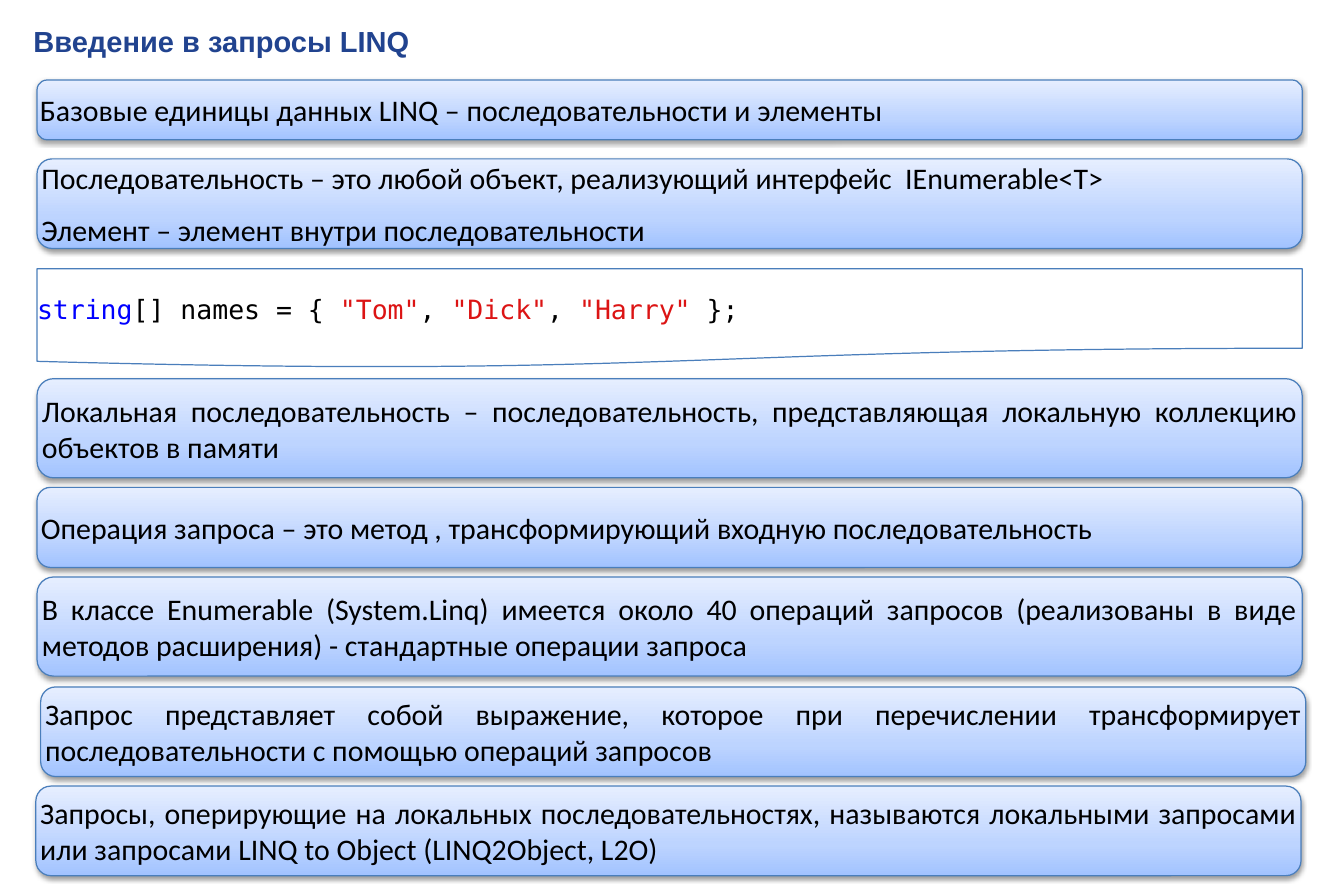
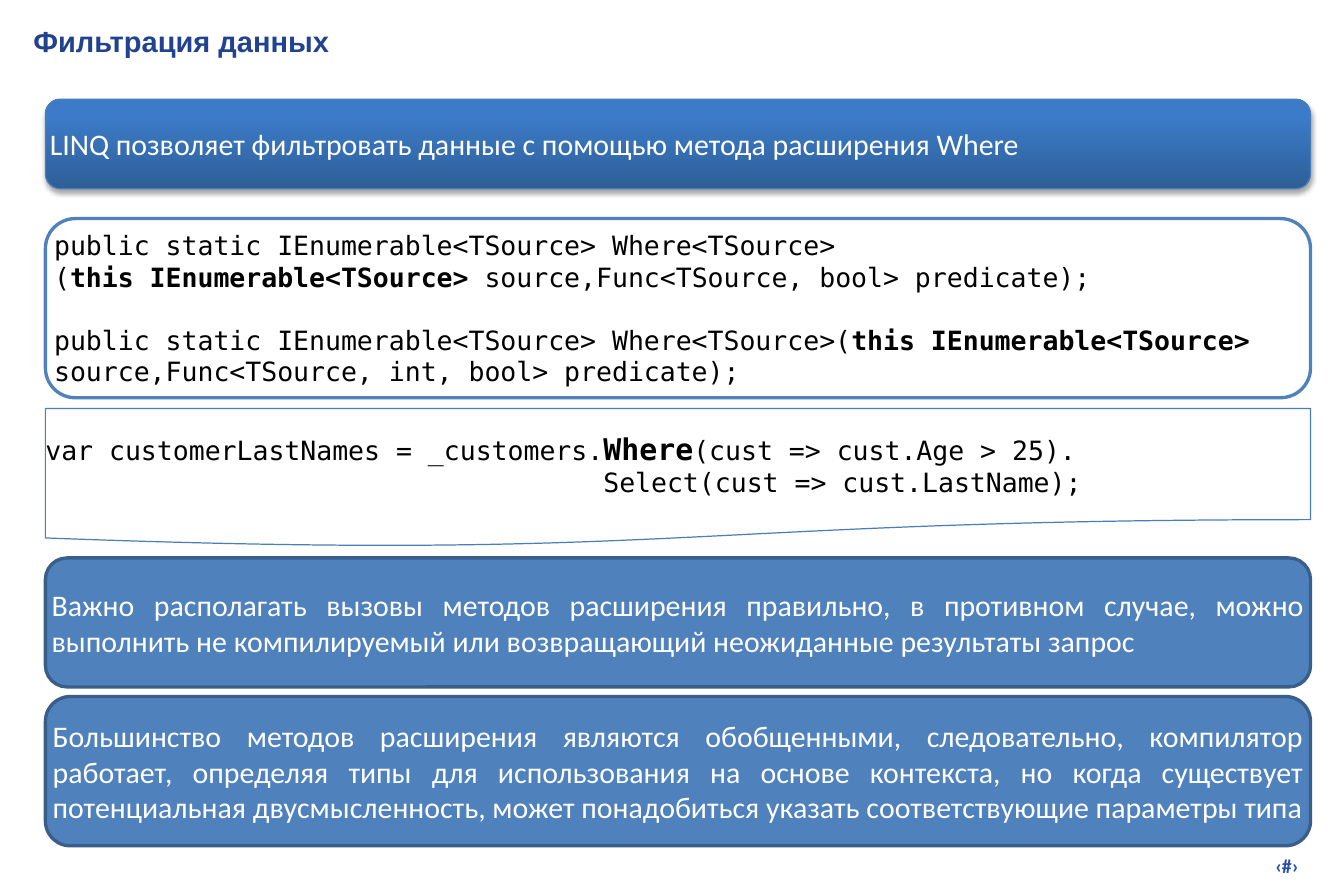
from lxml import etree
from pptx import Presentation
from pptx.dml.color import RGBColor
from pptx.enum.shapes import MSO_SHAPE as Preset
from pptx.enum.text import MSO_ANCHOR as Anchor, PP_ALIGN as Align
from pptx.oxml.ns import qn
from pptx.util import Inches, Pt

BODY_FONT, CODE_FONT, TITLE_FONT = "Calibri", "DejaVu Sans Mono", "Arial"
BLACK, WHITE = "000000", "FFFFFF"
TITLE_BLUE, NUMBER_BLUE = "21438F", "2750AB"
OUTLINE, ACCENT, ACCENT_DARK = "4A7EBB", "4F81BD", "3A5E8A"
KEYWORD, LITERAL = "0000FF", "DC1414"
PALE_GRADIENT = [(0, "A2C3FF"), (35, "BDD4FF"), (100, "E6EEFF")]
DEEP_GRADIENT = [(0, "2E5E97"), (80, "3C7BC7"), (100, "3A7CCA")]

BOX_WIDTH = 10.59
CORNER = 0.167
CODE_SIZE = 16
CODE_LINE = 18.6


def color(value):
    return RGBColor.from_string(value)


def add_child(parent, tag, **attributes):
    child = etree.SubElement(parent, qn(tag))
    for name, value in attributes.items():
        child.set(name, str(value))
    return child


def fill_gradient(shape, stops):
    """Fill from bottom to top with (percent, colour) stops."""
    shape.fill.gradient()
    shape.fill.gradient_angle = 90
    stop_list = shape._element.spPr.find(".//" + qn("a:gsLst"))
    for old_stop in list(stop_list):
        stop_list.remove(old_stop)
    for percent, value in stops:
        stop = add_child(stop_list, "a:gs", pos=percent * 1000)
        add_child(stop, "a:srgbClr", val=value)


def add_drop_shadow(shape, opacity, distance):
    effects = shape._element.spPr.find(qn("a:effectLst"))
    shadow = add_child(effects, "a:outerShdw", blurRad=Pt(3), dist=Pt(distance),
                       dir=90 * 60000, rotWithShape=0)
    shadow_color = add_child(shadow, "a:srgbClr", val=BLACK)
    add_child(shadow_color, "a:alpha", val=opacity * 1000)


def set_up_frame(shape, anchor, margin=0):
    frame = shape.text_frame
    frame.word_wrap = True
    frame.vertical_anchor = anchor
    frame.margin_left = frame.margin_right = Inches(margin)
    frame.margin_top = frame.margin_bottom = Inches(margin)
    return frame


def add_run(paragraph, text, font, size, value, bold=False):
    run = paragraph.add_run()
    run.text = text
    run.font.name = font
    run.font.size = Pt(size)
    run.font.bold = bold
    run.font.color.rgb = color(value)


def add_paragraphs(frame, count, align):
    for _ in range(count - 1):
        frame.add_paragraph()
    for paragraph in frame.paragraphs:
        paragraph.alignment = align
    return frame.paragraphs


def add_label(slide, at, text, font, size, value, align=Align.LEFT, margin=0):
    label = slide.shapes.add_textbox(*map(Inches, at))
    frame = set_up_frame(label, Anchor.TOP, margin)
    paragraph = add_paragraphs(frame, 1, align)[0]
    add_run(paragraph, text, font, size, value, bold=True)


def add_panel(slide, preset, left, top, height, line, line_width=0.75):
    panel = slide.shapes.add_shape(preset, Inches(left), Inches(top),
                                   Inches(BOX_WIDTH), Inches(height))
    panel.shadow.inherit = False
    panel.line.color.rgb = color(line)
    panel.line.width = Pt(line_width)
    if preset == Preset.ROUNDED_RECTANGLE:
        panel.adjustments[0] = CORNER
    return panel


def write_statements(panel, lines, value):
    frame = set_up_frame(panel, Anchor.MIDDLE)
    paragraphs = add_paragraphs(frame, len(lines), Align.JUSTIFY)
    for paragraph, line in zip(paragraphs, lines):
        add_run(paragraph, line, BODY_FONT, 18, value)
    for paragraph in paragraphs[1:]:
        paragraph.space_before = Pt(10)


def add_gradient_box(slide, left, top, height, lines, stops, value, opacity, distance):
    box = add_panel(slide, Preset.ROUNDED_RECTANGLE, left, top, height, OUTLINE)
    fill_gradient(box, stops)
    add_drop_shadow(box, opacity, distance)
    write_statements(box, lines, value)


def add_solid_box(slide, left, top, height, line):
    box = add_panel(slide, Preset.ROUNDED_RECTANGLE, left, top, height, ACCENT_DARK, 2)
    box.fill.solid()
    box.fill.fore_color.rgb = color(ACCENT)
    write_statements(box, [line], WHITE)


def add_code(slide, preset, left, top, height, lines, line=OUTLINE, line_width=0.75):
    """Each code line is a list of (text, overrides) runs; returns the paragraphs."""
    panel = add_panel(slide, preset, left, top, height, line, line_width)
    panel.fill.solid()
    panel.fill.fore_color.rgb = color(WHITE)
    frame = set_up_frame(panel, Anchor.MIDDLE)
    paragraphs = add_paragraphs(frame, len(lines), Align.LEFT)
    for paragraph, runs in zip(paragraphs, lines):
        for text, overrides in runs:
            style = {"size": CODE_SIZE, "value": BLACK, **overrides}
            add_run(paragraph, text, CODE_FONT, **style)
    return paragraphs


def add_titled_slide(presentation, title):
    slide = presentation.slides.add_slide(presentation.slide_layouts[6])
    add_label(slide, (0.28, 0.2, 10.74, 0.4), title, TITLE_FONT, 17.5, TITLE_BLUE)
    return slide


def build_introduction(presentation):
    slide = add_titled_slide(presentation, "Введение в запросы LINQ")
    left = 0.31
    statements = [
        (left, 0.67, 0.5, ["Базовые единицы данных LINQ – последовательности и элементы"]),
        (left, 1.33, 0.75, [
            "Последовательность – это любой объект, реализующий интерфейс  IEnumerable<T>",
            "Элемент – элемент внутри последовательности"]),
        (left, 3.17, 0.83, ["Локальная последовательность – последовательность, "
                            "представляющая локальную коллекцию объектов в памяти"]),
        (left, 4.08, 0.67, ["Операция запроса – это метод , "
                            "трансформирующий входную последовательность"]),
        (left, 4.83, 0.83, ["В классе Enumerable (System.Linq) имеется около 40 операций "
                            "запросов (реализованы в виде методов расширения) - "
                            "стандартные операции запроса"]),
        (0.34, 5.75, 0.75, ["Запрос представляет собой выражение, которое при перечислении "
                            "трансформирует последовательности с помощью операций запросов"]),
        (0.3, 6.58, 0.75, ["Запросы, оперирующие на локальных последовательностях, "
                           "называются локальными запросами или запросами "
                           "LINQ to Object (LINQ2Object, L2O)"]),
    ]
    for box_left, top, height, lines in statements:
        add_gradient_box(slide, box_left, top, height, lines, PALE_GRADIENT, BLACK, 38, 1.6)

    literal = {"value": LITERAL}
    add_code(slide, Preset.FLOWCHART_DOCUMENT, left, 2.25, 0.83, [[
        ("string", {"value": KEYWORD}), ("[] names = { ", {}),
        ('"Tom"', literal), (", ", {}), ('"Dick"', literal), (", ", {}),
        ('"Harry"', literal), (" };", {})]])


def build_filtering(presentation):
    slide = add_titled_slide(presentation, "Фильтрация данных")
    left = 0.38
    add_gradient_box(slide, left, 0.83, 0.75,
                     ["LINQ позволяет фильтровать данные с помощью метода расширения Where"],
                     DEEP_GRADIENT, WHITE, 35, 1.8)

    source = ("this IEnumerable<TSource>", {"bold": True})
    signatures = add_code(slide, Preset.ROUNDED_RECTANGLE, left, 1.83, 1.5, [
        [("public static IEnumerable<TSource> Where<TSource>", {})],
        [("(", {}), source, (" source,Func<TSource, bool> predicate);", {})],
        [("public static IEnumerable<TSource> Where<TSource>(", {}), source,
         (" source,Func<TSource, int, bool> predicate);", {})],
    ], ACCENT, 2)
    signatures[2].space_before = Pt(CODE_LINE)

    add_code(slide, Preset.FLOWCHART_DOCUMENT, left, 3.42, 1.16, [
        [("var customerLastNames = _customers.", {}),
         ("Where", {"size": 18, "bold": True}),
         ("(cust => cust.Age > 25).", {})],
        [("                                   Select(cust => cust.LastName);", {})],
    ])

    add_solid_box(slide, left, 4.67, 1.08,
                  "Важно располагать вызовы методов расширения правильно, в противном "
                  "случае, можно выполнить не компилируемый или возвращающий "
                  "неожиданные результаты запрос")
    add_solid_box(slide, left, 5.83, 1.25,
                  "Большинство методов расширения являются обобщенными, следовательно, "
                  "компилятор работает, определяя типы для использования на основе "
                  "контекста, но когда существует потенциальная двусмысленность, может "
                  "понадобиться указать соответствующие параметры типа")
    add_label(slide, (8.54, 7.1, 2.38, 0.29), "‹#›", BODY_FONT, 12, NUMBER_BLUE,
              Align.RIGHT, 0.05)


def main():
    presentation = Presentation()
    presentation.slide_width = Inches(11.25)
    presentation.slide_height = Inches(7.5)
    build_introduction(presentation)
    build_filtering(presentation)
    presentation.save("out.pptx")


if __name__ == "__main__":
    main()
